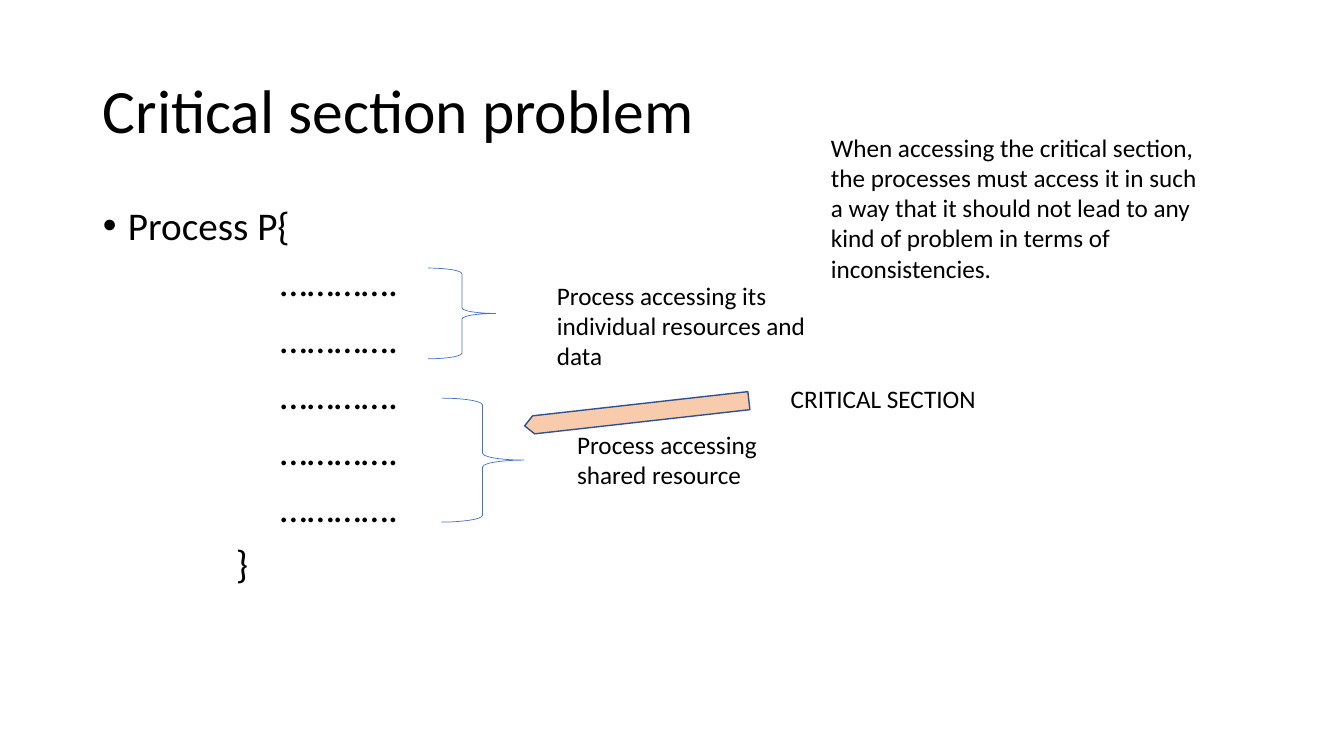
from lxml import etree
from pptx import Presentation
from pptx.dml.color import RGBColor
from pptx.enum.shapes import MSO_SHAPE
from pptx.enum.text import MSO_ANCHOR, MSO_AUTO_SIZE, PP_ALIGN
from pptx.oxml.ns import qn
from pptx.util import Inches, Pt

BRACE = MSO_SHAPE.RIGHT_BRACE
ARROW = MSO_SHAPE.RIGHT_ARROW
TOP, MIDDLE = MSO_ANCHOR.TOP, MSO_ANCHOR.MIDDLE
NO_FIT = MSO_AUTO_SIZE.NONE
LEFT = PP_ALIGN.LEFT

COLORS = {
    "text": "000000",
    "brace": "4472C4",
    "arrow": "F8CBAD",
    "arrow_line": "2F528F",
}
FONT = "Calibri"
DOTS = "…………."


class SlideBuilder:
    def __init__(self, slide):
        self.slide = slide

    def color(self, name):
        return RGBColor.from_string(COLORS[name])

    def place(self, sp, box):
        sp.left, sp.top, sp.width, sp.height = [Inches(v) for v in box]

    def format(self, p, size):
        p.alignment = LEFT
        for r in p.runs:
            r.font.name = FONT
            r.font.size = Pt(size)
            r.font.color.rgb = self.color("text")

    def frame(self, sp, anchor):
        tf = sp.text_frame
        tf.word_wrap = True
        tf.auto_size = NO_FIT
        tf.vertical_anchor = anchor
        return tf

    def title(self, text, box):
        sp = self.slide.shapes.title
        self.place(sp, box)
        tf = self.frame(sp, MIDDLE)
        tf.text = text
        p = tf.paragraphs[0]
        p.line_spacing = 0.9
        self.format(p, 44)

    def body(self, lines, box):
        sp = self.slide.placeholders[1]
        self.place(sp, box)
        tf = self.frame(sp, TOP)
        tf.text = "\n".join(text for text, _, _ in lines)
        for p, (_, margin, bullet) in zip(tf.paragraphs, lines):
            p.line_spacing = 0.9
            p.space_before = Pt(10)
            self.format(p, 28)
            self.indent(p, margin, bullet)

    def indent(self, p, margin, bullet):
        pPr = p._p.get_or_add_pPr()
        pPr.set("marL", str(Inches(margin)))
        pPr.set("indent", str(Inches(-0.25 if bullet else 0)))
        if bullet:
            etree.SubElement(pPr, qn("a:buChar")).set("char", "•")
        else:
            etree.SubElement(pPr, qn("a:buNone"))

    def label(self, text, box):
        sp = self.slide.shapes.add_textbox(*[Inches(v) for v in box])
        tf = self.frame(sp, TOP)
        tf.text = text
        self.format(tf.paragraphs[0], 18)

    def shape(self, kind, box, line, width, fill=None):
        sp = self.slide.shapes.add_shape(kind, *[Inches(v) for v in box])
        sp.shadow.inherit = False
        sp.line.color.rgb = self.color(line)
        sp.line.width = Pt(width)
        if fill:
            sp.fill.solid()
            sp.fill.fore_color.rgb = self.color(fill)
        else:
            sp.fill.background()
        return sp

    def brace(self, box):
        self.shape(BRACE, box, "brace", 0.5)

    def arrow(self, box, rotation):
        sp = self.shape(ARROW, box, "arrow_line", 1, "arrow")
        sp.adjustments[0] = 1
        sp.adjustments[1] = 0.5
        sp.rotation = rotation


def main():
    prs = Presentation()
    prs.slide_width, prs.slide_height = Inches(13.34), Inches(7.5)
    s = SlideBuilder(prs.slides.add_slide(prs.slide_layouts[1]))

    s.title("Critical section problem", (0.92, 0.4, 11.5, 1.45))
    process = [("Process P{", 0.25, True)]
    process += [(DOTS, 1.76, False)] * 5
    process += [("}", 1.32, False)]
    s.body(process, (0.92, 2, 11.5, 4.76))

    s.brace((4.25, 2.66, 0.67, 0.9))
    s.label("Process accessing its individual resources and data",
            (5.43, 2.73, 2.72, 1))
    s.brace((4.38, 3.95, 0.82, 1.23))
    s.label("Process accessing shared resource", (5.63, 4.21, 2.62, 0.7))
    s.arrow((5.2, 4.01, 2.24, 0.18), 173.6)
    s.label("CRITICAL SECTION", (7.75, 3.75, 2.11, 0.4))
    s.label("When accessing the critical section, the processes must access it "
            "in such a way that it should not lead to any kind of problem in "
            "terms of inconsistencies.", (8.15, 1.26, 3.9, 1.6))

    prs.save("out.pptx")


if __name__ == "__main__":
    main()
